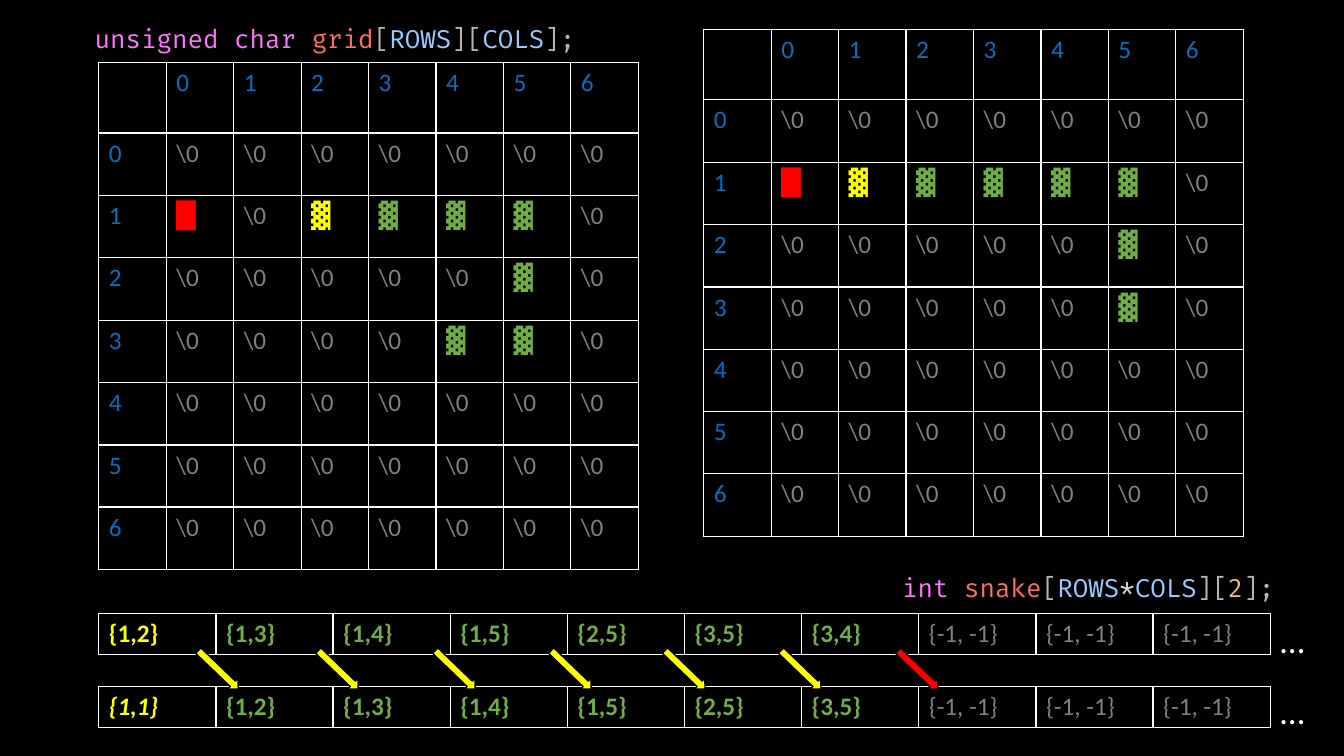
import pptx
import pptx.util
import pptx.dml.color
import pptx.enum.shapes
import pptx.enum.text
import lxml.etree
from pptx.util import Inches

COLORS = {
    "black": "000000", "white": "FFFFFF", "gray": "808080", "blue": "0070C0",
    "red": "FF0000", "yellow": "FFFF00", "green": "70AD47",
    "type": "FF73FD", "name": "FF6C60", "punct": "B5B3AA",
    "const": "96CBFE", "operator": "D4D4D4", "number": "E9C062",
}
NS = "http://schemas.openxmlformats.org/drawingml/2006/main"


def style_run(r, color, font="Calibri", size=18):
    r.font.name = font
    r.font.size = pptx.util.Pt(size)
    r.font.color.rgb = pptx.dml.color.RGBColor.from_string(COLORS[color])


def add_grid(s, left, top, col_width, heights, rows):
    width = col_width * len(rows[0])
    frame = s.shapes.add_table(len(rows), len(rows[0]), Inches(left), Inches(top),
                               Inches(width), Inches(sum(heights)))
    table = frame.table
    table.first_row = False
    table.horz_banding = False
    for col in table.columns:
        col.width = Inches(col_width)
    for i, row in enumerate(rows):
        table.rows[i].height = Inches(heights[i])
        for j, (text, color) in enumerate(row):
            cell = table.cell(i, j)
            tc_pr = cell._tc.get_or_add_tcPr()
            for side in ("lnL", "lnR", "lnT", "lnB"):
                ln = lxml.etree.SubElement(tc_pr, f"{{{NS}}}{side}", w="12700")
                fill = lxml.etree.SubElement(ln, f"{{{NS}}}solidFill")
                lxml.etree.SubElement(fill, f"{{{NS}}}srgbClr", val=COLORS["white"])
            cell.fill.solid()
            cell.fill.fore_color.rgb = pptx.dml.color.RGBColor.from_string(COLORS["black"])
            if text:
                p = cell.text_frame.paragraphs[0]
                p.text = text
                style_run(p.runs[0], color)
    return table


prs = pptx.Presentation()
prs.slide_width = Inches(13.33)
prs.slide_height = Inches(7.5)
s = prs.slides.add_slide(prs.slide_layouts[6])
s.background.fill.solid()
s.background.fill.fore_color.rgb = pptx.dml.color.RGBColor.from_string(COLORS["black"])

food = (1, 0)
before = [(1, 2), (1, 3), (1, 4), (1, 5), (2, 5), (3, 5), (3, 4)]
after = [(1, 1)] + before[:-1]

for snake, top in [(before, 6.09), (after, 6.81)]:
    row = [(f"{{{y},{x}}}", "green") for y, x in snake]
    row[0] = (row[0][0], "yellow")
    row += [("{-1, -1}", "gray")] * 3
    table = add_grid(s, 0.98, top, 1.162, [0.4], [row])
    for j in range(len(snake)):
        table.cell(0, j).text_frame.paragraphs[0].runs[0].font.bold = True
    if snake is after:
        table.cell(0, 0).text_frame.paragraphs[0].runs[0].font.italic = True

arrow_lefts = [2.09, 3.28, 4.44, 5.59, 6.72, 7.87, 9.03]
for left in arrow_lefts:
    color = "red" if left == arrow_lefts[-1] else "yellow"
    arrow = s.shapes.add_shape(pptx.enum.shapes.MSO_SHAPE.DOWN_ARROW, Inches(left),
                               Inches(6.37), Inches(0.15), Inches(0.55))
    arrow.rotation = 313.9
    arrow.shadow.inherit = False
    arrow.fill.solid()
    arrow.fill.fore_color.rgb = pptx.dml.color.RGBColor.from_string(COLORS[color])
    arrow.line.color.rgb = pptx.dml.color.RGBColor.from_string(COLORS["black"])
    arrow.line.width = pptx.util.Pt(1)

for snake, left, top in [(after, 6.98, 0.29), (before, 0.98, 0.62)]:
    rows = [[("", "blue")] + [(str(x), "blue") for x in range(7)]]
    for y in range(7):
        row = [(str(y), "blue")]
        for x in range(7):
            if (y, x) == food:
                row.append(("█", "red"))
            elif (y, x) in snake:
                row.append(("▓", "yellow" if (y, x) == snake[0] else "green"))
            else:
                row.append(("\\0", "gray"))
        rows.append(row)
    add_grid(s, left, top, 0.669, [0.7] + [0.619] * 6, rows[:7])
    add_grid(s, left, top + 4.41, 0.669, [0.62], rows[7:])

grid_code = [("unsigned char ", "type"), ("grid", "name"), ("[", "punct"),
             ("ROWS", "const"), ("][", "punct"), ("COLS", "const"), ("];", "punct")]
snake_code = [("int ", "type"), ("snake", "name"), ("[", "punct"), ("ROWS", "const"),
              ("*", "operator"), ("COLS", "const"), ("][", "punct"), ("2", "number"),
              ("];", "punct")]
dots = [("…", "white")]
for left, top, width, height, wrap, font, size, parts in [
    (0.84, 0.18, 5.04, 0.71, False, "Fira Code", 18, grid_code),
    (8.85, 5.63, 6.66, 0.4, True, "Fira Code", 18, snake_code),
    (12.6, 6.09, 0.44, 0.52, False, "Calibri", 25, dots),
    (12.6, 6.79, 0.44, 0.52, False, "Calibri", 25, dots),
]:
    tf = s.shapes.add_textbox(Inches(left), Inches(top), Inches(width), Inches(height)).text_frame
    tf.word_wrap = wrap
    tf.auto_size = pptx.enum.text.MSO_AUTO_SIZE.SHAPE_TO_FIT_TEXT
    for text, color in parts:
        r = tf.paragraphs[0].add_run()
        r.text = text
        style_run(r, color, font, size)

prs.save("out.pptx")
